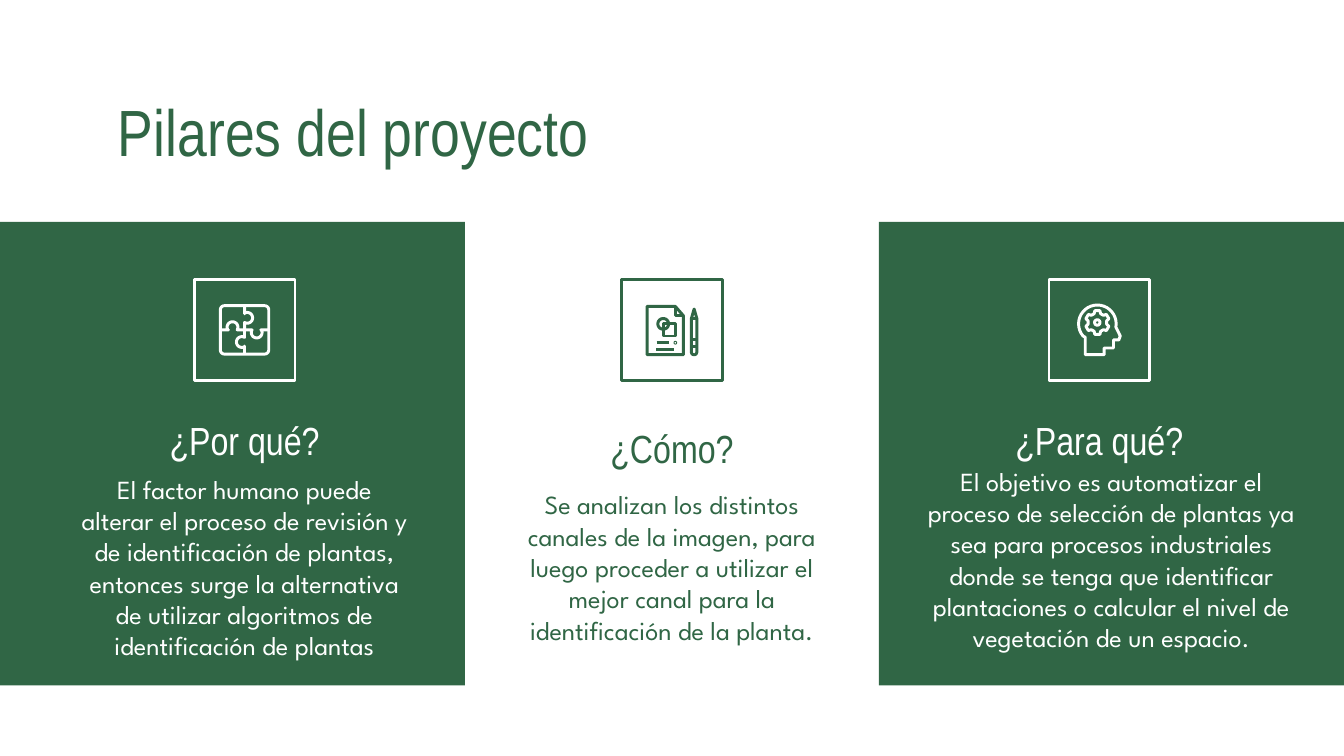
from math import cos, radians, sin

from lxml.etree import SubElement
from pptx import Presentation
from pptx.dml.color import RGBColor
from pptx.enum.shapes import MSO_SHAPE as Shape
from pptx.enum.text import MSO_ANCHOR as Anchor, PP_ALIGN as Align
from pptx.oxml.ns import qn
from pptx.util import Inches, Pt

GREEN = RGBColor(0x30, 0x66, 0x45)
WHITE = RGBColor(0xFF, 0xFF, 0xFF)
HEADING_FONT = "Arial Narrow"
BODY_FONT = "League Spartan"
ICON_SIZE = 0.75


def add_text(page, box, text, font, size, color, align=Align.CENTER, anchor=Anchor.MIDDLE):
    """Place one wrapped paragraph in a box given in inches."""
    frame = page.shapes.add_textbox(*map(Inches, box)).text_frame
    frame.word_wrap = True
    frame.vertical_anchor = anchor
    frame.margin_left = frame.margin_right = Inches(0.1)
    frame.margin_top = frame.margin_bottom = Inches(0.1)
    para = frame.paragraphs[0]
    para.text = text
    para.alignment = align
    para.font.name = font
    para.font.size = Pt(size)
    para.font.color.rgb = color


def add_rectangle(page, box, fill=None, line=None):
    """Draw a rectangle with a plain fill or a plain line."""
    shape = page.shapes.add_shape(Shape.RECTANGLE, *map(Inches, box))
    shape.shadow.inherit = False
    if fill is None:
        shape.fill.background()
    else:
        shape.fill.solid()
        shape.fill.fore_color.rgb = fill
    if line is None:
        shape.line.fill.background()
    else:
        shape.line.color.rgb = line
        shape.line.width = Pt(1.5)


def add_outline(page, left, top, points, color, closed=True, width=1.6):
    """Draw an unfilled line through points relative to a corner."""
    places = [(Inches(left + x), Inches(top + y)) for x, y in points]
    builder = page.shapes.build_freeform(*places[0])
    builder.add_line_segments(places[1:], close=closed)
    outline = builder.convert_to_shape()
    outline.shadow.inherit = False
    outline.fill.background()
    outline.line.color.rgb = color
    outline.line.width = Pt(width)
    SubElement(outline.element.spPr.find(qn("a:ln")), qn("a:round"))


def arc(x, y, radius, start=0, end=360, step=10):
    """Return points along an arc, with angles in degrees."""
    return [(x + radius * cos(radians(angle)), y + radius * sin(radians(angle)))
            for angle in range(start, end + 1, step)]


def draw_puzzle(page, left, top, color):
    """Draw four jigsaw pieces whose seams turn around the centre."""
    middle, half, corner = ICON_SIZE / 2, 0.18, 0.03
    inner = half - corner
    frame = [point for x, y, start in ((1, 1, 0), (-1, 1, 90), (-1, -1, 180), (1, -1, 270))
             for point in arc(middle + x * inner, middle + y * inner, corner, start, start + 90)]
    add_outline(page, left, top, frame, color)
    seam = [(0, -half), (0, -0.12), *arc(0.02, -0.09, 0.04, -120, 120), (0, -0.05), (0, 0)]
    for _ in range(4):
        add_outline(page, left, top, [(middle + x, middle + y) for x, y in seam], color, False)
        seam = [(-y, x) for x, y in seam]


def draw_document(page, left, top, color):
    """Draw a sheet with shapes and text lines beside a pencil."""
    sheet = [(0.19, 0.2), (0.4, 0.2), (0.46, 0.27), (0.46, 0.56), (0.19, 0.56)]
    square = [(0.31, 0.33), (0.4, 0.33), (0.4, 0.42), (0.31, 0.42)]
    pencil = [(0.54, 0.22), (0.56, 0.29), *arc(0.54, 0.54, 0.02, 0, 180), (0.52, 0.29)]
    for points in (sheet, square, arc(0.31, 0.33, 0.04), pencil):
        add_outline(page, left, top, points, color)
    add_outline(page, left, top, arc(0.4, 0.47, 0.01), color, width=0.5)
    rules = [((0.26, 0.47), (0.35, 0.47)), ((0.26, 0.52), (0.39, 0.52))]
    bands = [((0.52, y), (0.56, y)) for y in (0.29, 0.45, 0.5)]
    fold = [(0.4, 0.2), (0.4, 0.27), (0.46, 0.27)]
    for points in (*rules, *bands, fold):
        add_outline(page, left, top, points, color, False)


def draw_mind(page, left, top, color):
    """Draw a head in profile with a gear inside."""
    head = [(0.27, 0.56), (0.27, 0.43), *arc(0.36, 0.33, 0.14, 140, 370), (0.53, 0.42),
            (0.52, 0.45), (0.48, 0.45), (0.48, 0.51), (0.41, 0.51), (0.41, 0.56)]
    gear = [point for tooth in range(30, 390, 60)
            for radius, shift in ((0.07, -20), (0.09, -12), (0.09, 12), (0.07, 20))
            for point in arc(0.36, 0.32, radius, tooth + shift, tooth + shift)]
    for points in (head, gear, arc(0.36, 0.32, 0.02)):
        add_outline(page, left, top, points, color)


def add_pillar(page, center, color, draw_icon, heading, heading_top, body, body_box):
    """Place a framed icon, a heading and a text around a centre line."""
    left, top = center - ICON_SIZE / 2, 2.08
    add_rectangle(page, (left, top, ICON_SIZE, ICON_SIZE), line=color)
    draw_icon(page, left, top, color)
    add_text(page, (center - 1.23, heading_top, 2.46, 0.48), heading, HEADING_FONT, 21, color)
    shift, body_top, width = body_box
    add_text(page, (center + shift - width / 2, body_top, width, 1.3), body, BODY_FONT, 14, color)


def main():
    """Build the slide and save it."""
    deck = Presentation()
    deck.slide_width = Inches(10)
    deck.slide_height = deck.slide_width * 9 // 16
    page = deck.slides.add_slide(deck.slide_layouts[6])
    for left in (0, 6.54):
        add_rectangle(page, (left, 1.65, 3.46, 3.45), fill=GREEN)
    add_text(page, (0.78, 0.58, 5.76, 0.63), "Pilares del proyecto", HEADING_FONT, 35, GREEN,
             Align.LEFT, Anchor.TOP)
    pillars = [
        (WHITE, draw_puzzle, "¿Por qué?", 3.03,
         "El factor humano puede alterar el proceso de revisión y de identificación de plantas, "
         "entonces surge la alternativa de utilizar algoritmos de identificación de plantas",
         (0, 3.57, 2.66)),
        (GREEN, draw_document, "¿Cómo?", 3.09,
         "Se analizan los distintos canales de la imagen, para luego proceder a utilizar el "
         "mejor canal para la identificación de la planta.",
         (0, 3.57, 2.46)),
        (WHITE, draw_mind, "¿Para qué?", 3.03,
         "El objetivo es automatizar el proceso de selección de plantas ya sea para procesos "
         "industriales donde se tenga que identificar plantaciones o calcular el nivel de "
         "vegetación de un espacio.",
         (0.09, 3.51, 2.99)),
    ]
    for index, pillar in enumerate(pillars):
        add_pillar(page, 1.82 + 3.18 * index, *pillar)
    deck.save("out.pptx")


if __name__ == "__main__":
    main()
